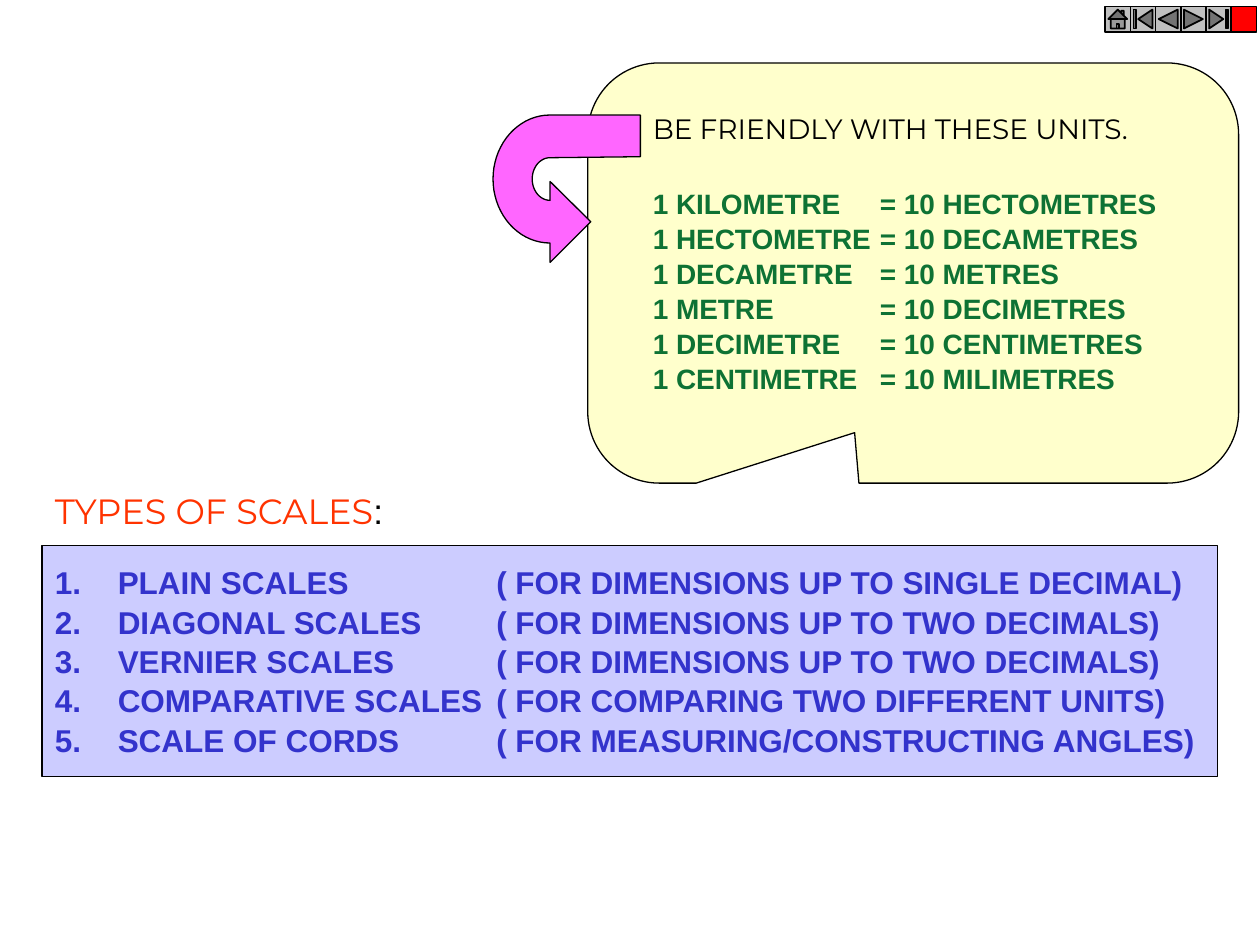
from dataclasses import dataclass
from math import cos, radians, sin

from lxml import etree
from pptx import Presentation
from pptx import util as u
from pptx.dml.color import RGBColor
from pptx.enum import shapes, text
from pptx.oxml.ns import qn

Kind = shapes.MSO_SHAPE


@dataclass(frozen=True)
class Theme:
    black: str = "000000"
    red: str = "FF3300"
    green: str = "0E7234"
    blue: str = "3333CC"
    panel: str = "CCCCFF"
    callout: str = "FFFFCC"
    arrow: str = "FF66FF"
    button: str = "C0C0C0"
    stop: str = "FF0000"
    body_font: str = "Arial"
    heading_font: str = "Montserrat"
    heading_size: int = 20
    list_size: int = 18
    unit_size: int = 16
    line_spacing: float = 1.04


@dataclass(frozen=True)
class Box:
    """A region in centimetres."""
    left: float
    top: float
    width: float
    height: float

    def inner(self, left, top, width, height):
        return Box(self.left + left, self.top + top, width, height)

    def lengths(self):
        return [u.Cm(v) for v in (self.left, self.top, self.width, self.height)]


THEME = Theme()

UNITS = [
    ("1 KILOMETRE", "= 10 HECTOMETRES"),
    ("1 HECTOMETRE", "= 10 DECAMETRES"),
    ("1 DECAMETRE", "= 10 METRES"),
    ("1 METRE", "= 10 DECIMETRES"),
    ("1 DECIMETRE", "= 10 CENTIMETRES"),
    ("1 CENTIMETRE", "= 10 MILIMETRES"),
]
SCALES = [
    ("PLAIN SCALES", "( FOR DIMENSIONS UP TO SINGLE DECIMAL)"),
    ("DIAGONAL SCALES", "( FOR DIMENSIONS UP TO TWO DECIMALS)"),
    ("VERNIER SCALES", "( FOR DIMENSIONS UP TO TWO DECIMALS)"),
    ("COMPARATIVE SCALES", "( FOR COMPARING TWO DIFFERENT UNITS)"),
    ("SCALE OF CORDS", "( FOR MEASURING/CONSTRUCTING ANGLES)"),
]


def paint(shape, fill, weight=0.75):
    shape.shadow.inherit = False
    shape.fill.solid()
    shape.fill.fore_color.rgb = RGBColor.from_string(fill)
    shape.line.color.rgb = RGBColor.from_string(THEME.black)
    shape.line.width = u.Pt(weight)


def add_shape(page, kind, box, fill, weight=0.75):
    shape = page.shapes.add_shape(kind, *box.lengths())
    paint(shape, fill, weight)
    return shape


def add_span(para, words, size, color, font=THEME.body_font, bold=False):
    span = para.add_run()
    span.text = words
    span.font.name, span.font.size, span.font.bold = font, u.Pt(size), bold
    span.font.color.rgb = RGBColor.from_string(color)


def set_frame(shape, box, wrap):
    shape.left, shape.top, shape.width, shape.height = box.lengths()
    frame = shape.text_frame
    frame.word_wrap = wrap
    frame.auto_size = text.MSO_AUTO_SIZE.NONE
    frame.vertical_anchor = text.MSO_ANCHOR.TOP
    return frame


def paragraphs(frame, count):
    """Yield left-aligned paragraphs without gaps between them."""
    for index in range(count):
        para = frame.add_paragraph() if index else frame.paragraphs[0]
        para.alignment = text.PP_ALIGN.LEFT
        para.space_before = u.Pt(0)
        yield para


def number(para, indent, tab):
    """Number a paragraph, with a hanging indent and one tab stop."""
    props = para._p.get_or_add_pPr()
    props.set("marL", str(u.Cm(indent)))
    props.set("indent", str(-u.Cm(indent)))
    etree.SubElement(props, qn("a:buFont"), typeface="+mj-lt")
    etree.SubElement(props, qn("a:buAutoNum"), type="arabicPeriod")
    stops = etree.SubElement(props, qn("a:tabLst"))
    etree.SubElement(stops, qn("a:tab"), pos=str(u.Cm(tab)), algn="l")


def heading(page, box):
    frame = set_frame(page.shapes.title, box, False)
    para = next(paragraphs(frame, 1))
    add_span(para, "TYPES OF SCALES", THEME.heading_size, THEME.red, THEME.heading_font)
    add_span(para, ":", THEME.heading_size, THEME.black)


def scale_list(page, box):
    # The panel goes behind the placeholders
    panel = add_shape(page, Kind.RECTANGLE, box, THEME.panel)
    panel.element.getparent().insert(2, panel.element)
    frame = set_frame(page.placeholders[1], box.inner(0, 0.2, box.width, 4.06), True)
    for para, (name, use) in zip(paragraphs(frame, len(SCALES)), SCALES):
        number(para, 1.27, 8.9)
        para.line_spacing = THEME.line_spacing
        add_span(para, f"{name}\t{use}", THEME.list_size, THEME.blue, bold=True)


def unit_column(page, box, entries):
    frame = set_frame(page.shapes.add_textbox(*box.lengths()), box, False)
    for para, entry in zip(paragraphs(frame, len(entries)), entries):
        para.line_spacing = THEME.line_spacing
        add_span(para, entry, THEME.unit_size, THEME.green, bold=True)


def turn_arrow(page, box):
    """A band that leaves to the left, turns down and points right."""
    bend, middle, band_end = 1.15, 1.29, 2.97

    def arc(across, down, angles):
        return [(bend + across * cos(radians(a)), middle - down * sin(radians(a)))
                for a in angles]

    outline = [(band_end, 0)]
    outline += arc(1.15, 1.29, range(90, 271, 5))
    outline += [(bend, 2.97), (1.97, 2.15), (bend, 1.34)]
    outline += arc(0.36, 0.43, range(270, 89, -5))
    outline += [(band_end, 0.84)]
    points = [(u.Cm(box.left + x), u.Cm(box.top + y)) for x, y in outline]
    builder = page.shapes.build_freeform(*points[0])
    builder.add_line_segments(points[1:], close=True)
    paint(builder.convert_to_shape(), THEME.arrow)


def units_callout(page, box):
    bubble = add_shape(page, Kind.ROUNDED_RECTANGULAR_CALLOUT, box, THEME.callout)
    for index, value in enumerate((-0.09, 0.38, 0.17)):
        bubble.adjustments[index] = value
    # Two columns of units under a lead line
    names, values = zip(*UNITS)
    unit_column(page, box.inner(5.64, 2.34, 6.1, 4.32), values)
    unit_column(page, box.inner(1.06, 2.34, 4.93, 4.32), names)
    lead = box.inner(1.06, 0.85, 11.2, 0.94)
    frame = set_frame(page.shapes.add_textbox(*lead.lengths()), lead, False)
    add_span(next(paragraphs(frame, 1)), "BE FRIENDLY WITH THESE UNITS.",
             THEME.unit_size, THEME.black, THEME.heading_font)
    turn_arrow(page, box.inner(-1.91, 1.05, 2.97, 2.97))


def navigation(page, box):
    kinds = [Kind.ACTION_BUTTON_HOME, Kind.ACTION_BUTTON_BEGINNING,
             Kind.ACTION_BUTTON_BACK_OR_PREVIOUS, Kind.ACTION_BUTTON_FORWARD_OR_NEXT,
             Kind.ACTION_BUTTON_END, Kind.ACTION_BUTTON_CUSTOM]
    step = box.width / len(kinds)
    for index, kind in enumerate(kinds):
        fill = THEME.stop if kind == Kind.ACTION_BUTTON_CUSTOM else THEME.button
        add_shape(page, kind, box.inner(index * step, 0, step, box.height), fill, 1)


def main():
    deck = Presentation()
    deck.slide_width, deck.slide_height = u.Cm(25.4), u.Cm(19.05)
    page = deck.slides.add_slide(deck.slide_layouts[1])
    heading(page, Box(0.85, 9.74, 7.92, 1.1))
    scale_list(page, Box(0.85, 11, 23.7, 4.66))
    units_callout(page, Box(11.85, 1.27, 13.12, 8.47))
    navigation(page, Box(22.28, 0.13, 3.05, 0.51))
    deck.save("out.pptx")


if __name__ == "__main__":
    main()
